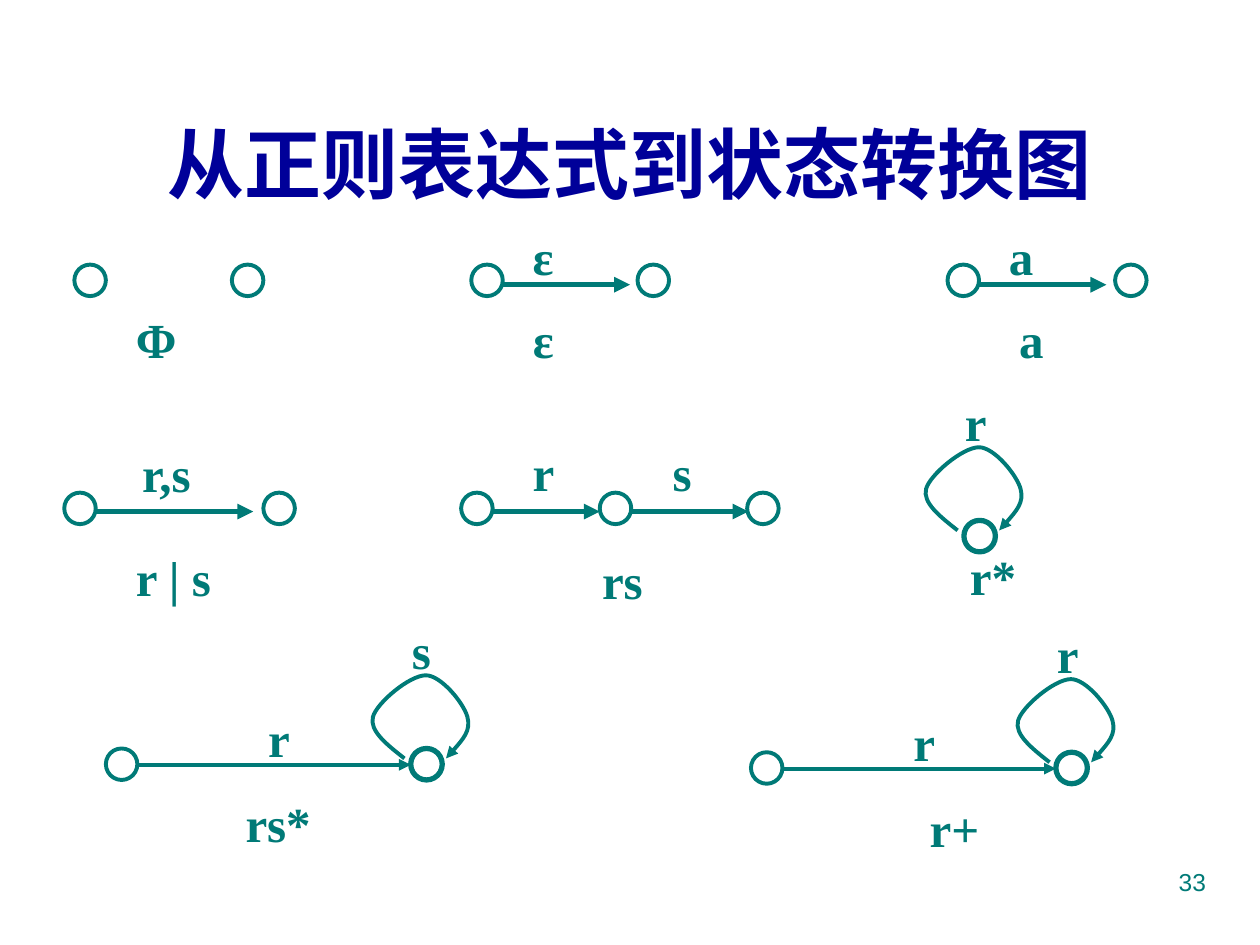
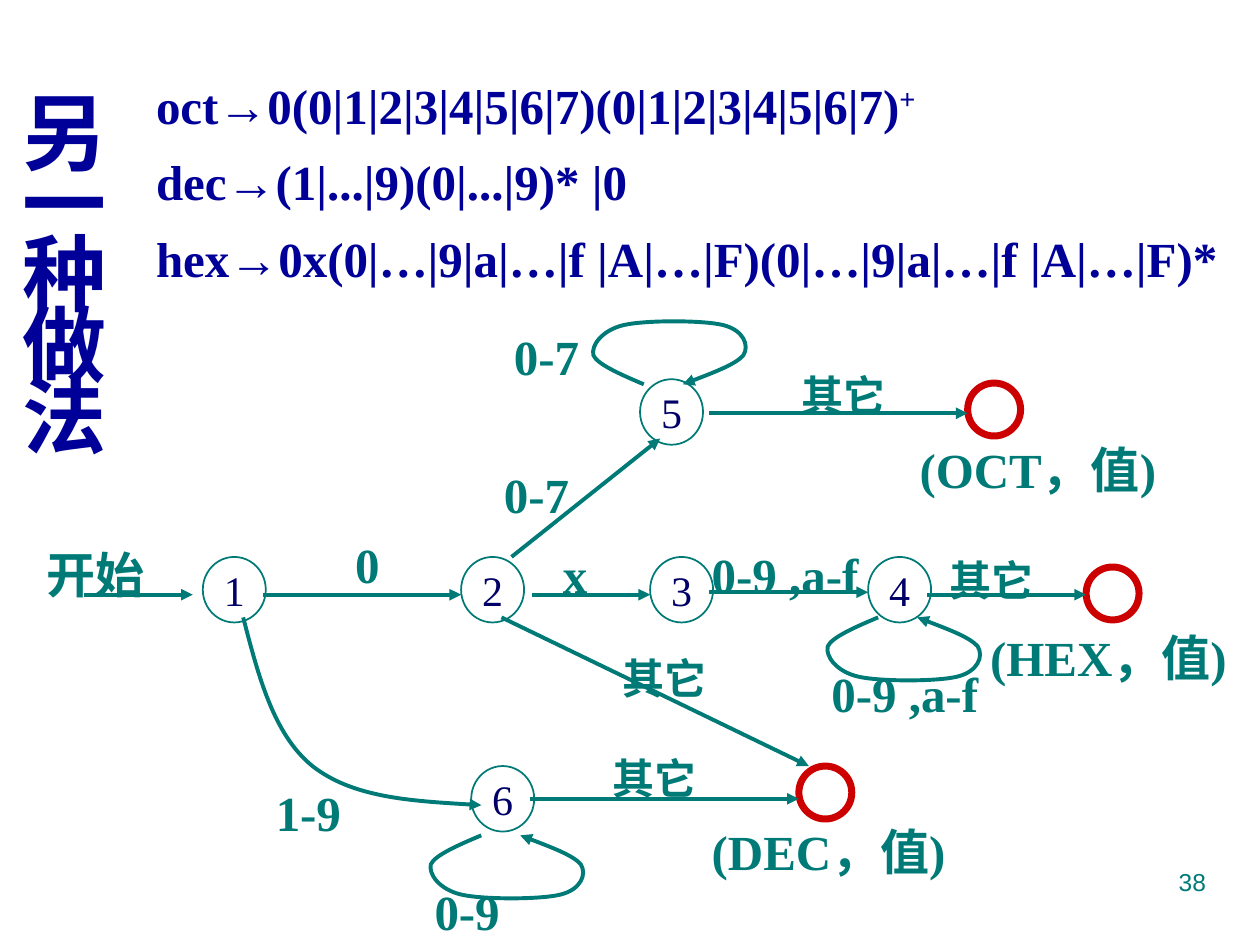
from dataclasses import dataclass
from typing import NamedTuple

from pptx import Presentation
from pptx.dml.color import RGBColor
from pptx.enum.shapes import MSO_CONNECTOR, MSO_SHAPE
from pptx.enum.text import MSO_ANCHOR, MSO_AUTO_SIZE, PP_ALIGN
from pptx.oxml.ns import qn
from pptx.util import Pt
from lxml.etree import SubElement

PX = 9144  # EMU in one px, 100 px to the inch


@dataclass(frozen=True)
class Theme:
    teal: RGBColor = RGBColor(0x00, 0x7A, 0x77)
    navy: RGBColor = RGBColor(0x00, 0x00, 0x99)
    ink: RGBColor = RGBColor(0x00, 0x00, 0x66)
    red: RGBColor = RGBColor(0xCC, 0x00, 0x00)
    serif: str = "Times New Roman"
    sans: str = "Arial"
    title: int = 44
    tall: int = 48
    label: int = 28
    small: int = 24
    page: int = 14
    hair: float = 1
    thin: float = 2.25
    thick: float = 3
    final: float = 4


T = Theme()


class Box(NamedTuple):
    x: int
    y: int
    w: int
    h: int


class Label(NamedTuple):
    text: str
    x: int
    y: int
    w: int
    h: int = 57
    size: int = T.label
    wrap: bool = False
    gap: float = 1.0


class Edge(NamedTuple):
    x1: int
    y1: int
    x2: int
    y2: int
    width: float = T.thin


class Loop(NamedTuple):
    x: int
    y: int
    flip: int = 1


Points = list[tuple[int, int]]

# Bezier points, measured from the start of each curve
TALL_LOOP: Points = [
    (0, 0), (-14, -11), (-28, -22), (-25, -33), (-22, -44), (4, -66), (17, -66),
    (29, -66), (47, -44), (50, -33), (53, -22), (43, -11), (33, 0)]
WIDE_LOOP: Points = [
    (0, 0), (-19, 8), (-37, 16), (-40, 23), (-42, 31), (-33, 43), (-16, 47),
    (1, 51), (47, 51), (63, 47), (79, 43), (84, 31), (79, 23),
    (73, 16), (52, 8), (31, 0)]
BEND: Points = [(0, 0), (12, 46), (24, 93), (55, 118), (87, 143), (138, 146), (189, 149)]


# Shared drawing parts

def style(item, **values) -> None:
    for name, value in values.items():
        setattr(item, name, value)


def ink(font, size: int, color: RGBColor, bold: bool = True, name: str = T.serif) -> None:
    style(font, size=Pt(size), bold=bold, name=name)
    font.color.rgb = color


def place(shape, box: Box) -> None:
    names = ("left", "top", "width", "height")
    style(shape, **{name: value * PX for name, value in zip(names, box)})


def stroke(shape, width: float, color: RGBColor = T.teal, arrow: bool = False) -> None:
    shape.line.color.rgb = color
    shape.line.width = Pt(width)
    if arrow:
        SubElement(shape.line._get_or_add_ln(), qn("a:tailEnd"), type="triangle")


def write(slide, label: Label) -> None:
    shape = slide.shapes.add_textbox(*(v * PX for v in label[1:5]))
    frame = shape.text_frame
    style(frame, word_wrap=label.wrap, auto_size=MSO_AUTO_SIZE.SHAPE_TO_FIT_TEXT)
    para = frame.paragraphs[0]
    para.line_spacing = label.gap
    run = para.add_run()
    run.text = label.text
    ink(run.font, label.size, T.teal)


def ring(slide, x: int, y: int, w: int = 25, h: int = 25,
         width: float = T.thin, color: RGBColor = T.teal):
    shape = slide.shapes.add_shape(MSO_SHAPE.OVAL, x * PX, y * PX, w * PX, h * PX)
    shape.shadow.inherit = False
    shape.fill.background()
    stroke(shape, width, color)
    return shape


def link(slide, edge: Edge) -> None:
    line = slide.shapes.add_connector(MSO_CONNECTOR.STRAIGHT, *(v * PX for v in edge[:4]))
    stroke(line, edge.width, arrow=True)
    SubElement(line._element.spPr, qn("a:effectLst"))


def curve(slide, x: int, y: int, points: Points, flip: int = 1) -> None:
    spots = [(x + dx, y + dy * flip) for dx, dy in points]
    maker = slide.shapes.build_freeform(*spots[0], scale=PX)
    maker.add_line_segments(spots[1:], close=False)
    shape = maker.convert_to_shape()
    # Turn every three straight steps into one Bezier step
    steps = list(shape._element.iter(qn("a:lnTo")))
    track = steps[0].getparent()
    for start in range(0, len(steps), 3):
        bend = SubElement(track, qn("a:cubicBezTo"))
        for step in steps[start:start + 3]:
            bend.append(step[0])
            track.remove(step)
    shape.shadow.inherit = False
    shape.fill.background()
    stroke(shape, T.thin, arrow=True)


def start_slide(deck, title: str, box: Box, size: int, gap: float, page: str):
    slide = deck.slides.add_slide(deck.slide_layouts[5])
    head = slide.shapes.title
    place(head, box)
    frame = head.text_frame
    frame.text = title
    style(frame, vertical_anchor=MSO_ANCHOR.MIDDLE, word_wrap=True,
          auto_size=MSO_AUTO_SIZE.NONE)
    style(frame.paragraphs[0], alignment=PP_ALIGN.CENTER, line_spacing=gap)
    ink(frame.paragraphs[0].runs[0].font, size, T.navy)
    # Page number
    foot = slide.shapes.add_textbox(717 * PX, 683 * PX, 250 * PX, 52 * PX).text_frame
    foot.word_wrap = True
    foot.text = page
    foot.paragraphs[0].alignment = PP_ALIGN.RIGHT
    ink(foot.paragraphs[0].runs[0].font, T.page, T.teal, False, T.sans)
    return slide


# Slide 1: one small diagram for each kind of expression

def mark(text: str, x: int, y: int) -> Label:
    return Label(text, x, y, 67, 61, wrap=True, gap=1.1)


def self_loop(slide, x: int, y: int, text: str) -> None:
    ring(slide, x, y, width=T.thick)
    curve(slide, x - 5, y + 8, TALL_LOOP)
    write(slide, mark(text, x - 9, y - 111))


def tail_loop(slide, x: int, y: int, text: str) -> None:
    ring(slide, x, y)
    link(slide, Edge(x + 25, y + 13, x + 242, y + 13))
    write(slide, mark("r", x + 119, y - 41))
    self_loop(slide, x + 242, y, text)


def draw_rules(deck) -> None:
    slide = start_slide(deck, "从正则表达式到状态转换图", Box(33, 67, 934, 125),
                        T.title, 1.0, "33")
    rows = {210: (59, 184, 374, 506, 752, 885), 391: (51, 209, 366, 476, 593)}
    for y, lefts in rows.items():
        for x in lefts:
            ring(slide, x, y)
    for x1, x2, y in ((398, 500, 226), (776, 878, 226), (75, 201, 406),
                      (390, 476, 406), (500, 594, 406)):
        link(slide, Edge(x1, y, x2, y, T.thick))
    self_loop(slide, 765, 413, "r")
    tail_loop(slide, 84, 594, "s")
    tail_loop(slide, 596, 597, "r")
    for label in (
        mark("ε", 413, 170), mark("a", 791, 170),
        Label("Φ", 98, 241, 59), Label("ε", 413, 241, 59), Label("a", 799, 241, 40),
        Label("r,s", 103, 347, 62), Label("r", 413, 346, 37), Label("s", 524, 346, 35),
        Label("r | s", 98, 430, 80), Label("rs", 468, 432, 52),
        Label("r*", 760, 438, 57, 47, gap=0.8),
        Label("rs*", 185, 625, 72), Label("r+", 728, 629, 60),
    ):
        write(slide, label)


# Slide 2: one automaton for three kinds of number

def state(slide, name: str, x: int, y: int) -> None:
    frame = ring(slide, x, y, 50, 52, T.hair).text_frame
    frame.text = name
    style(frame, vertical_anchor=MSO_ANCHOR.MIDDLE, word_wrap=False)
    frame.paragraphs[0].alignment = PP_ALIGN.CENTER
    ink(frame.paragraphs[0].runs[0].font, T.small, T.ink, False)


def grammar(slide) -> None:
    shape = slide.shapes.add_textbox(114 * PX, 50 * PX, 870 * PX, 183 * PX)
    frame = shape.text_frame
    style(frame, word_wrap=True, auto_size=MSO_AUTO_SIZE.SHAPE_TO_FIT_TEXT)
    rules = (("oct→0(0|1|2|3|4|5|6|7)(0|1|2|3|4|5|6|7)", "+"),
             ("dec→(1|...|9)(0|...|9)* |0", ""),
             ("hex→0x(0|…|9|a|…|f |A|…|F)(0|…|9|a|…|f |A|…|F)*", ""))
    for row, (rule, power) in enumerate(rules):
        para = frame.add_paragraph() if row else frame.paragraphs[0]
        style(para, line_spacing=1.1, space_before=Pt(7 if row else 0))
        for text in filter(None, (rule, power)):
            run = para.add_run()
            run.text = text
            ink(run.font, T.label, T.navy)
            if text == power:
                run._r.get_or_add_rPr().set("baseline", "30000")


def draw_numbers(deck) -> None:
    slide = start_slide(deck, "另一种做法", Box(4, 60, 95, 332), T.tall, 0.7, "38")
    for name, x, y in (("1", 161, 442), ("2", 366, 442), ("3", 516, 442),
                       ("4", 689, 442), ("5", 508, 301), ("6", 374, 608)):
        state(slide, name, x, y)
    for x, y in ((768, 304), (862, 450), (634, 608)):
        ring(slide, x, y, 42, 42, T.final, T.red)
    for edge in (
        Edge(67, 472, 153, 472), Edge(209, 472, 366, 472), Edge(422, 472, 516, 472),
        Edge(563, 470, 689, 470), Edge(736, 472, 862, 472), Edge(421, 634, 634, 634),
        Edge(406, 442, 524, 348), Edge(563, 328, 768, 328), Edge(398, 490, 642, 608),
    ):
        link(slide, edge)
    for loop in (Loop(697, 490), Loop(382, 663), Loop(511, 305, -1)):
        curve(slide, loop.x, loop.y, WIDE_LOOP, loop.flip)
    curve(slide, 193, 490, BEND)
    for x, y in ((744, 435), (476, 592), (626, 288), (484, 513)):
        write(slide, Label("其它", x, y, 115, 50, T.small, True))
    for label in (
        Label("开始", 27, 427, 102, wrap=True),
        Label("0", 272, 419, 40), Label("x", 437, 427, 40),
        Label("1-9", 209, 616, 72), Label("0-9", 335, 695, 82),
        Label("0-7", 390, 364, 72), Label("0-7", 398, 254, 82),
        Label("0-9 ,a-f", 555, 427, 137), Label("0-9 ,a-f", 650, 522, 137),
        Label("(DEC，值)", 555, 647, 283, wrap=True),
        Label("(HEX，值)", 776, 493, 220, wrap=True),
        Label("(OCT，值)", 720, 344, 213, wrap=True),
    ):
        write(slide, label)
    grammar(slide)


def main() -> None:
    deck = Presentation()
    style(deck, slide_width=1000 * PX, slide_height=750 * PX)
    draw_rules(deck)
    draw_numbers(deck)
    deck.save("out.pptx")


if __name__ == "__main__":
    main()
